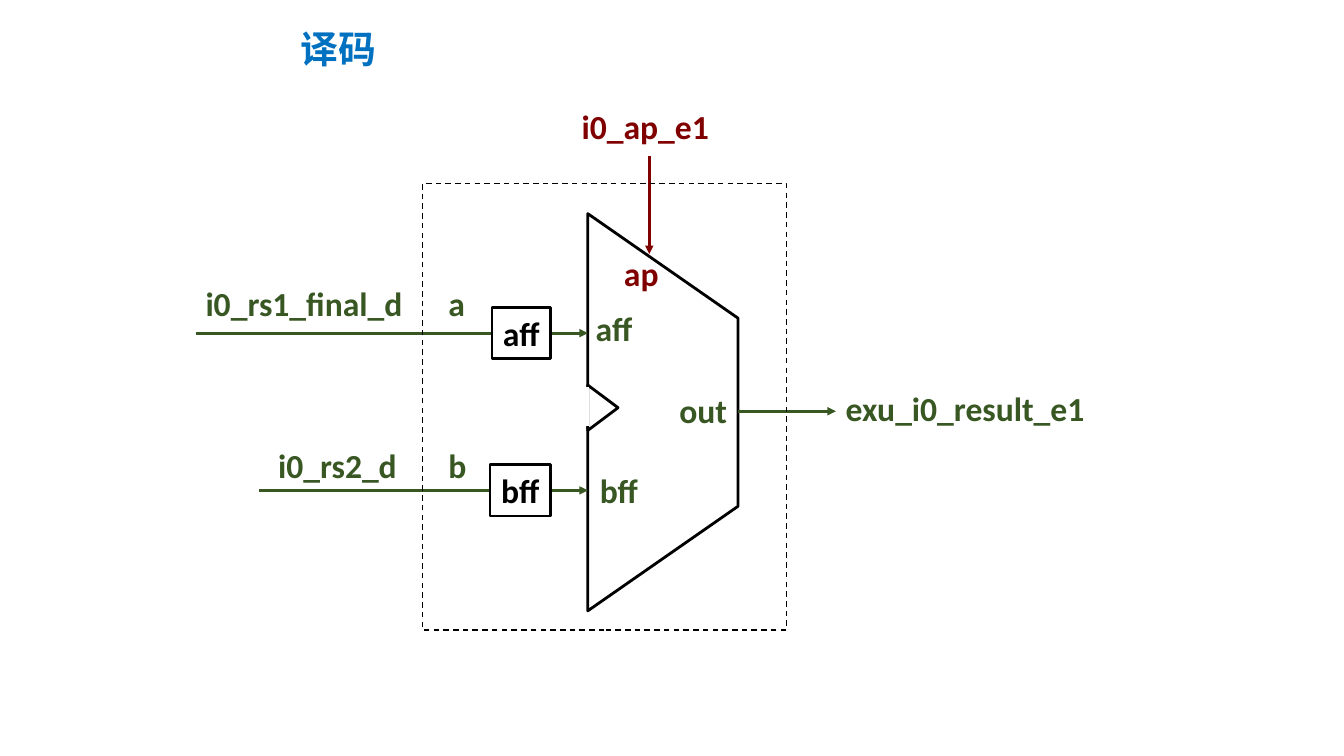
from lxml import etree
from pptx import Presentation
from pptx.dml.color import RGBColor
from pptx.enum.dml import MSO_LINE_DASH_STYLE as Dash
from pptx.enum.shapes import MSO_CONNECTOR as Connector, MSO_SHAPE as Shape
from pptx.enum.text import MSO_ANCHOR as Anchor, PP_ALIGN as Align
from pptx.oxml.ns import qn
from pptx.util import Inches, Pt

GREEN, RED, BLACK, WHITE, BLUE = "385723", "800000", "000000", "FFFFFF", "0070C0"


def color(value):
    return RGBColor.from_string(value)


def write(shape, text, ink, size=24, align=Align.LEFT):
    para = shape.text_frame.paragraphs[0]
    para.alignment = align
    span = para.add_run()
    span.text = text
    span.font.name = "Calibri"
    span.font.size = Pt(size)
    span.font.bold = True
    span.font.color.rgb = color(ink)


def clear_margins(frame):
    frame.margin_left = frame.margin_right = 0
    frame.margin_top = frame.margin_bottom = 0


def add_label(page, text, left, top, width, ink=GREEN):
    label = page.shapes.add_textbox(
        Inches(left), Inches(top), Inches(width), Inches(0.5))
    label.text_frame.word_wrap = False
    write(label, text, ink)


def add_outline(page, kind, box, fill=None, weight=2):
    shape = page.shapes.add_shape(kind, *map(Inches, box))
    shape.shadow.inherit = False
    if fill:
        shape.fill.solid()
        shape.fill.fore_color.rgb = color(fill)
    else:
        shape.fill.background()
    shape.line.color.rgb = color(BLACK)
    shape.line.width = Pt(weight)
    return shape


def add_turned(page, kind, box, fill=None):
    left, top, width, height = box
    shift = (height - width) / 2
    shape = add_outline(page, kind, (left - shift, top + shift, height, width), fill)
    shape.rotation = 90
    return shape


def add_wire(page, start, end, ink=GREEN, arrow=True):
    wire = page.shapes.add_connector(
        Connector.STRAIGHT, *map(Inches, (*start, *end)))
    wire.line.color.rgb = color(ink)
    wire.line.width = Pt(2)
    if arrow:
        line = wire.line._get_or_add_ln()
        etree.SubElement(line, qn("a:tailEnd"), type="triangle")
    etree.SubElement(wire._element.spPr, qn("a:effectLst"))


def add_title(page, box):
    title = page.shapes.title
    title.left, title.top, title.width, title.height = map(Inches, box)
    frame = title.text_frame
    clear_margins(frame)
    frame.word_wrap = False
    frame.vertical_anchor = Anchor.TOP
    write(title, "译码", BLUE, size=27)


def add_input(page, box, signal, port, register, inner):
    left, top, width, height = box
    right, middle = left + width, top + height / 2
    add_wire(page, (left, middle), (right, middle))
    name, inset, drop, label_width = signal
    add_label(page, name, left + inset, top + drop, label_width)
    add_label(page, port, right - 1.48, top + drop, 0.37)
    name, register_width = register
    square = add_outline(
        page, Shape.RECTANGLE,
        (right - 0.37 - register_width, top, register_width, height), WHITE)
    clear_margins(square.text_frame)
    square.text_frame.vertical_anchor = Anchor.MIDDLE
    write(square, name, BLACK, align=Align.CENTER)
    shift, drop = inner
    add_label(page, name, right + shift, top + drop, 0.58)


def add_unit(page, box):
    left, top, width, height = box
    body = add_turned(page, Shape.TRAPEZOID, box)
    body.adjustments[0] = 0.696
    clock_top = top + 1.7
    add_turned(page, Shape.ISOSCELES_TRIANGLE, (left, clock_top, 0.3, 0.45), WHITE)
    add_wire(page, (left, clock_top + 0.02), (left, clock_top + 0.41),
             WHITE, arrow=False)


def add_control(page, box):
    left, top, width, height = box
    middle = left + 0.61
    add_wire(page, (middle, top - 0.57), (middle, top + 0.4), RED)
    add_label(page, "i0_ap_e1", left - 0.16, top - 1.12, 1.48, RED)
    add_label(page, "ap", left + 0.26, top + 0.34, 0.55, RED)


def add_output(page, box):
    left, top, width, height = box
    right, middle = left + width, top + height / 2 - 0.01
    add_wire(page, (right, middle), (right + 0.97, middle))
    add_label(page, "out", right - 0.68, middle - 0.26, 0.68)
    add_label(page, "exu_i0_result_e1", right + 0.97, middle - 0.28, 2.6)


def build_page(deck):
    page = deck.slides.add_slide(deck.slide_layouts[5])
    add_title(page, (2.98, 0.25, 0.76, 0.45))
    unit = (5.83, 2.12, 1.49, 3.94)
    add_unit(page, unit)
    add_input(page, (1.94, 3.05, 3.89, 0.51), ("i0_rs1_final_d", 0, -0.29, 2.25),
              "a", ("aff", 0.58), (-0.02, -0.04))
    add_input(page, (2.57, 4.61, 3.26, 0.51), ("i0_rs2_d", 0.09, -0.25, 1.39),
              "b", ("bff", 0.6), (0.02, 0))
    add_control(page, unit)
    add_output(page, unit)
    border = add_outline(page, Shape.RECTANGLE, (4.19, 1.82, 3.61, 4.43), weight=1)
    border.line.dash_style = Dash.DASH


def main():
    deck = Presentation()
    deck.slide_width, deck.slide_height = Inches(13.33), Inches(7.5)
    build_page(deck)
    deck.save("out.pptx")


if __name__ == "__main__":
    main()
